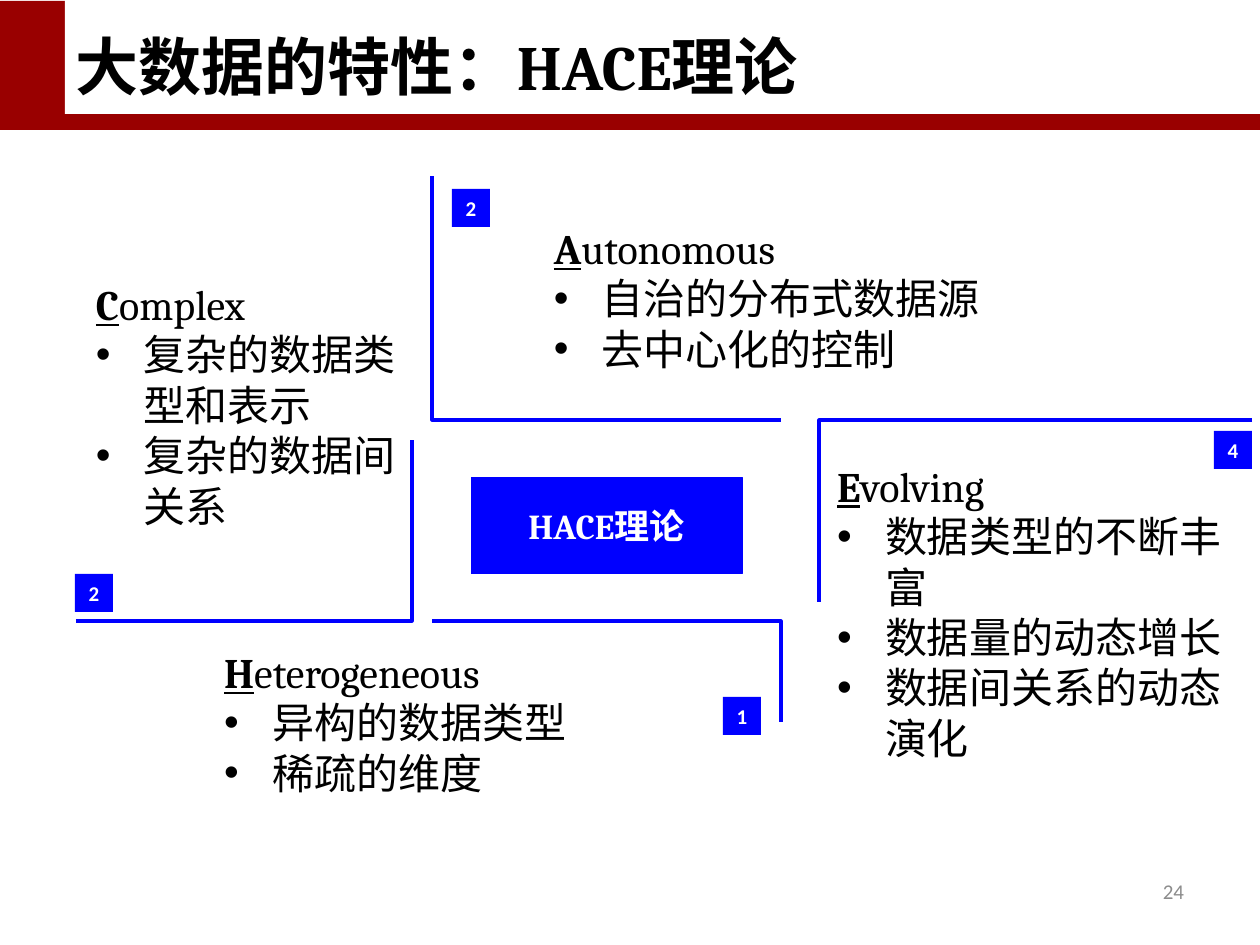
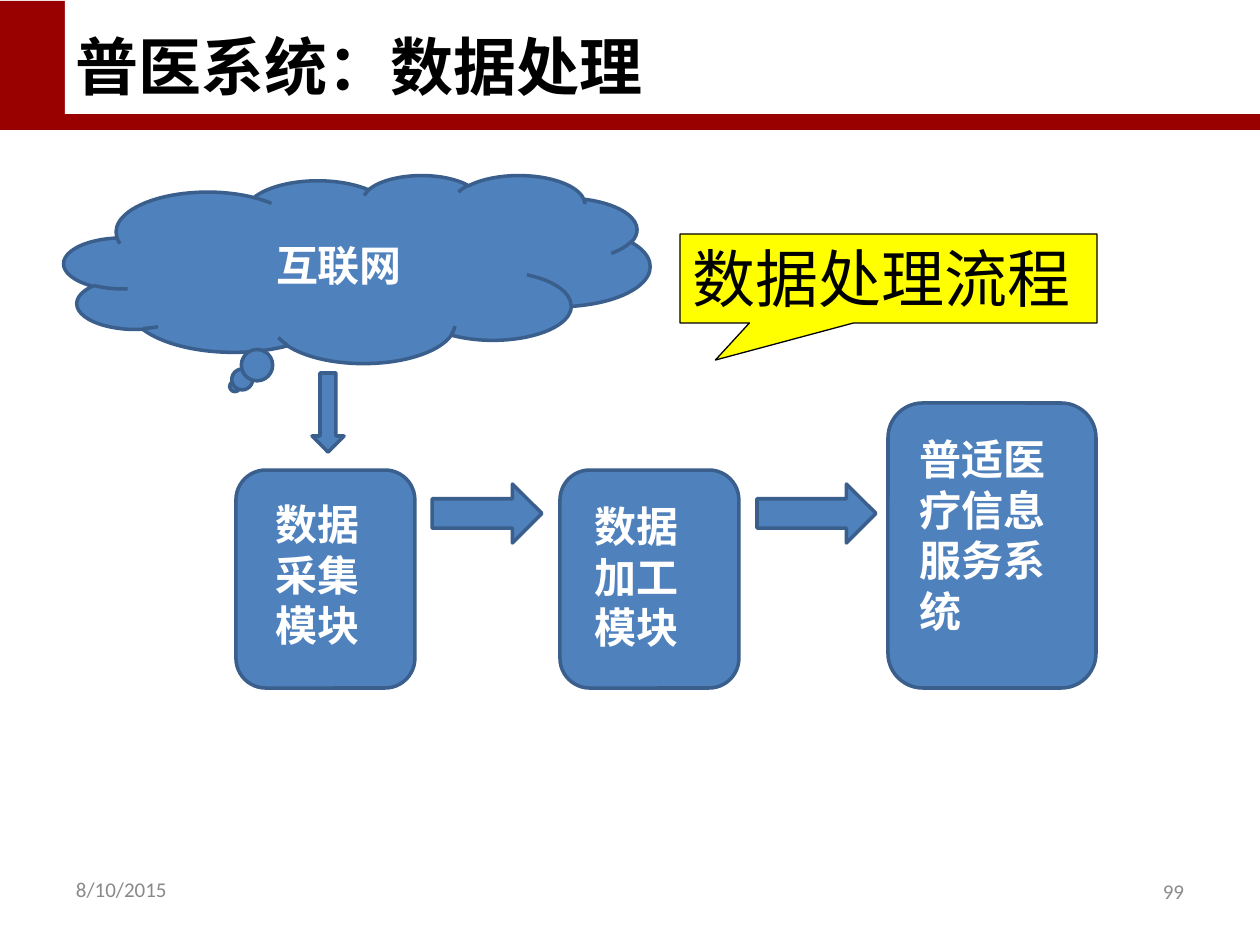
"""Builds two slides: the HACE theory of big data and a medical data processing flow."""
import pptx
import pptx.dml.color
import pptx.enum.shapes
import pptx.enum.text
import pptx.oxml
import pptx.oxml.ns
import pptx.util

SHAPE = pptx.enum.shapes.MSO_SHAPE
ALIGN = pptx.enum.text.PP_ALIGN
ANCHOR = pptx.enum.text.MSO_ANCHOR

RED, WHITE, BLACK = "990000", "FFFFFF", "000000"
BLUE, STEEL, STEEL_EDGE, YELLOW = "0000FF", "4F81BD", "3A5F8C", "FFFF00"
NUMBER_GREY, DATE_GREY = "8C8C8C", "898989"
CJK, SERIF, SANS, TIMES = "Noto Sans CJK SC", "Cambria", "Calibri", "Times New Roman"
INSET = (13, 6, 13, 6)
NO_INSET = (0, 0, 0, 0)
BADGE = 38
INDENT = 48

HACE_TITLE = [("大数据的特性：", CJK), ("HACE", SERIF), ("理论", CJK)]
HACE_CENTER = [("HACE", SERIF), ("理论", SANS)]
CENTER_BOX = (471, 477, 271, 97)
HACE_CARDS = [
    dict(word="Heterogeneous", points=["异构的数据类型", "稀疏的维度"],
         box=(224, 646, 449, 152), badge=("1", 723, 697),
         bracket=[(781, 722), (781, 621), (432, 621)]),
    dict(word="Autonomous", points=["自治的分布式数据源", "去中心化的控制"],
         box=(554, 222, 452, 152), badge=("2", 452, 189),
         bracket=[(432, 176), (432, 420), (781, 420)]),
    dict(word="Complex", points=["复杂的数据类型和表示", "复杂的数据间关系"],
         box=(96, 277, 315, 255), badge=("2", 75, 574),
         bracket=[(76, 621), (412, 621), (412, 440)]),
    dict(word="Evolving",
         points=["数据类型的不断丰富", "数据量的动态增长", "数据间关系的动态演化"],
         box=(837, 459, 396, 305), badge=("4", 1214, 431),
         bracket=[(1252, 420), (819, 420), (819, 602)]),
]

FLOW_TITLE = [("普医系统：数据处理", CJK)]
FLOW_STEPS = [
    ("互联网", SHAPE.CLOUD_CALLOUT, (64, 175, 586, 188), (263, 234, 208, 64)),
    ("数据采集模块", SHAPE.FLOWCHART_ALTERNATE_PROCESS, (236, 470, 179, 218),
     (263, 493, 141, 165)),
    ("数据加工模块", SHAPE.FLOWCHART_ALTERNATE_PROCESS, (560, 470, 179, 218),
     (582, 495, 129, 165)),
    ("普适医疗信息服务系统", SHAPE.FLOWCHART_ALTERNATE_PROCESS, (888, 403, 208, 285),
     (907, 428, 179, 217)),
]
FLOW_ARROWS = [
    (SHAPE.DOWN_ARROW, (312, 373, 32, 79)),
    (SHAPE.RIGHT_ARROW, (432, 484, 110, 59)),
    (SHAPE.RIGHT_ARROW, (757, 484, 119, 59)),
]
CALLOUT_TEXT, CALLOUT_BOX = "数据处理流程", (680, 234, 417, 89)
CALLOUT_TIP = (-0.415, 0.917)


def px(value):
    return pptx.util.Emu(round(value * 914400 / 126))


def color(value):
    return pptx.dml.color.RGBColor.from_string(value)


def set_line(sp, line, width):
    if line:
        sp.line.color.rgb = color(line)
        sp.line.width = pptx.util.Pt(width)
    else:
        sp.line.fill.background()


def add_box(s, kind, box, fill, line=None, width=2):
    sp = s.shapes.add_shape(kind, *map(px, box))
    sp.shadow.inherit = False
    sp.fill.solid()
    sp.fill.fore_color.rgb = color(fill)
    set_line(sp, line, width)
    return sp


def set_frame(sp, anchor=ANCHOR.TOP, inset=INSET, wrap=True):
    tf = sp.text_frame
    tf.word_wrap = wrap
    tf.vertical_anchor = anchor
    tf.margin_left, tf.margin_top, tf.margin_right, tf.margin_bottom = map(px, inset)
    return tf


def add_text(s, box, **frame):
    return set_frame(s.shapes.add_textbox(*map(px, box)), **frame)


def add_run(p, text, font, size, fill=BLACK, bold=False, underline=False):
    r = p.add_run()
    r.text = text
    r.font.name = font
    r.font.size = pptx.util.Pt(size)
    r.font.bold = bold
    r.font.underline = underline
    r.font.color.rgb = color(fill)
    ea = pptx.oxml.ns.qn("a:ea")
    r.font._element.get_or_add_latin().addnext(
        r.font._element.makeelement(ea, {"typeface": CJK}))


def add_runs(tf, runs, size, fill=BLACK, bold=False, align=ALIGN.LEFT):
    p = tf.paragraphs[0]
    p.alignment = align
    for text, font in runs:
        add_run(p, text, font, size, fill, bold)


def add_bullet(p):
    pPr = p._p.get_or_add_pPr()
    pPr.set("marL", str(px(INDENT)))
    pPr.set("indent", str(-px(INDENT)))
    for tag, key, value in (("a:buFont", "typeface", "Arial"), ("a:buChar", "char", "•")):
        pPr.append(pPr.makeelement(pptx.oxml.ns.qn(tag), {key: value}))


def add_slide(prs, title, number):
    s = prs.slides.add_slide(prs.slide_layouts[6])
    add_box(s, SHAPE.RECTANGLE, (0, 1, 1260, 129), RED)
    add_box(s, SHAPE.RECTANGLE, (65, 0, 1195, 114), WHITE)
    add_runs(add_text(s, (63, 18, 1134, 91), anchor=ANCHOR.BOTTOM), title, 36, bold=True)
    tf = add_text(s, (903, 866, 294, 50), anchor=ANCHOR.MIDDLE)
    add_runs(tf, [(number, SANS)], 12, NUMBER_GREY, align=ALIGN.RIGHT)
    return s


def add_solid_label(s, box, runs, size, line=None):
    sp = add_box(s, SHAPE.RECTANGLE, box, BLUE, line, 0.5)
    tf = set_frame(sp, ANCHOR.MIDDLE, NO_INSET, wrap=False)
    add_runs(tf, runs, size, WHITE, True, ALIGN.CENTER)


def add_bracket(s, points):
    start, *rest = [(px(x), px(y)) for x, y in points]
    builder = s.shapes.build_freeform(*start)
    builder.add_line_segments(rest, close=False)
    sp = builder.convert_to_shape()
    sp.shadow.inherit = False
    sp.fill.background()
    set_line(sp, BLUE, 1.75)


def add_card(s, card):
    add_bracket(s, card["bracket"])
    label, x, y = card["badge"]
    add_solid_label(s, (x, y, BADGE, BADGE), [(label, SANS)], 12)
    tf = add_text(s, card["box"], anchor=ANCHOR.MIDDLE, inset=NO_INSET)
    p = tf.paragraphs[0]
    add_run(p, card["word"][0], SERIF, 24, bold=True, underline=True)
    add_run(p, card["word"][1:], SERIF, 24)
    for point in card["points"]:
        p = tf.add_paragraph()
        add_bullet(p)
        add_run(p, point, CJK, 24)


def build_hace(prs):
    s = add_slide(prs, HACE_TITLE, "24")
    add_solid_label(s, CENTER_BOX, HACE_CENTER, 20, BLUE)
    for card in HACE_CARDS:
        add_card(s, card)


def build_flow(prs):
    s = add_slide(prs, FLOW_TITLE, "99")
    for text, kind, box, text_box in FLOW_STEPS:
        add_box(s, kind, box, STEEL, STEEL_EDGE)
        add_runs(add_text(s, text_box), [(text, TIMES)], 24, WHITE, True)
    for kind, box in FLOW_ARROWS:
        add_box(s, kind, box, STEEL, STEEL_EDGE)
    sp = add_box(s, SHAPE.RECTANGULAR_CALLOUT, CALLOUT_BOX, YELLOW, BLACK, 0.75)
    sp.adjustments[0], sp.adjustments[1] = CALLOUT_TIP
    add_runs(set_frame(sp), [(CALLOUT_TEXT, TIMES)], 36)
    tf = add_text(s, (63, 864, 294, 50), anchor=ANCHOR.MIDDLE)
    add_runs(tf, [("8/10/2015", SANS)], 12, DATE_GREY)


def main():
    prs = pptx.Presentation()
    prs.slide_width, prs.slide_height = px(1260), px(945)
    build_hace(prs)
    build_flow(prs)
    prs.save("out.pptx")


if __name__ == "__main__":
    main()
